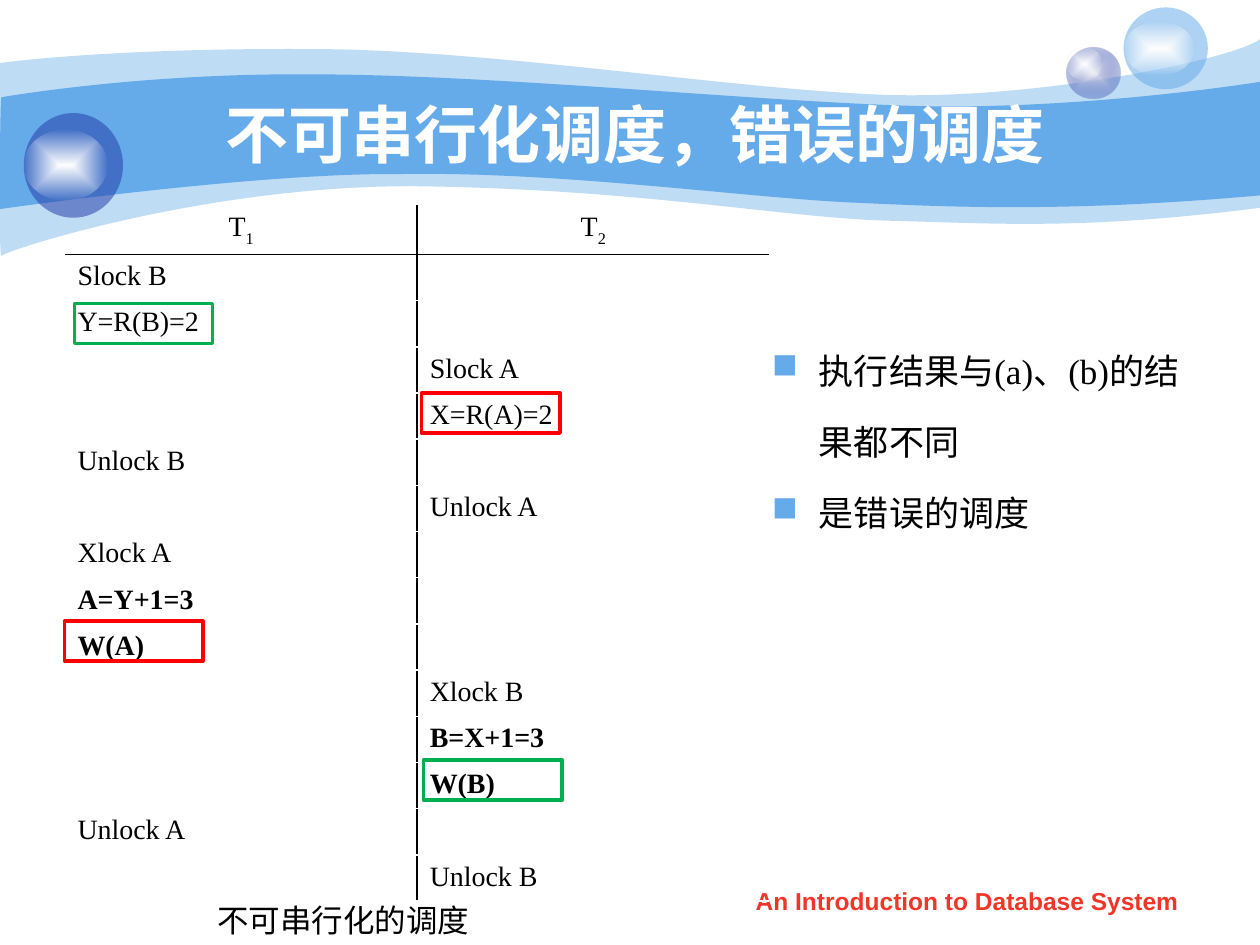
from lxml.etree import SubElement
from pptx import Presentation
from pptx.dml.color import RGBColor
from pptx.enum.shapes import MSO_SHAPE
from pptx.enum.text import MSO_ANCHOR, PP_ALIGN
from pptx.oxml import parse_xml
from pptx.oxml.ns import nsdecls, qn
from pptx.util import Cm, Pt

SKY, NAVY, WHITE, BLACK = "65AAE9", "233DA9", "FFFFFF", "000000"
RED, GREEN = "FF0000", "00B050"
SERIF, SANS = "Times New Roman", "Arial"
HANG = Cm(0.95)

OUTER_WAVE = [
    [(0, 1.27)],
    [(0.61, 1.19), (2.72, 0.97), (6.27, 0.99)],
    [(9.8, 0.99), (14.6, 1.78), (17.75, 1.91)],
    [(20.88, 2.03), (24.89, 1.19), (25.4, 0.79)],
    [(25.4, 4.19)],
    [(21.79, 4.65), (19.99, 4.5), (17.91, 4.45)],
    [(15.8, 4.39), (13.08, 3.84), (8.71, 3.76)],
    [(4.37, 3.66), (0.1, 5.05), (0.03, 5.16)],
    [(-0.03, 5.28), (0, 1.91), (0, 1.27)],
]
INNER_WAVE = [
    [(0.03, 1.96)],
    [(0.05, 1.96), (2.79, 1.47), (6.3, 1.5)],
    [(9.8, 1.5), (15.11, 2.03), (18.24, 2.13)],
    [(21.36, 2.24), (24.79, 1.75), (25.4, 1.65)],
    [(25.4, 3.94)],
    [(21.67, 4.27), (19.43, 4.19), (17.32, 4.09)],
    [(15.19, 4.01), (11.35, 3.45), (8.05, 3.51)],
    [(5.16, 3.48), (-0.05, 4.22), (-0.03, 4.22)],
    [(0, 4.22), (0, 1.96), (0.03, 1.96)],
]
STEPS = [
    (0, "Slock B", False), (0, "Y=R(B)=2", False), (1, "Slock A", False),
    (1, "X=R(A)=2", False), (0, "Unlock B", False), (1, "Unlock A", False),
    (0, "Xlock A", False), (0, "A=Y+1=3", True), (0, "W(A)", True),
    (1, "Xlock B", False), (1, "B=X+1=3", True), (1, "W(B)", True),
    (0, "Unlock A", False), (1, "Unlock B", False),
]
HIGHLIGHTS = [(8.5, 7.92, RED), (1.3, 12.52, RED), (1.5, 6.12, GREEN), (8.54, 15.32, GREEN)]


def rgb(value):
    """Turn a hex string into a colour."""
    return RGBColor.from_string(value)


def fill_solid(shape, color, opacity=100):
    """Fill a shape with one colour at a given opacity, without outline or shadow."""
    shape.shadow.inherit = False
    shape.line.fill.background()
    shape.fill.solid()
    shape.fill.fore_color.rgb = rgb(color)
    if opacity < 100:
        tint = shape._element.spPr.find(qn("a:solidFill")).find(qn("a:srgbClr"))
        SubElement(tint, qn("a:alpha")).set("val", str(opacity * 1000))


def fill_glow(shape, inner, outer, opacity):
    """Fill a shape with a gradient running from its centre to its edge."""
    shape.shadow.inherit = False
    shape.line.fill.background()
    shape.fill.background()
    properties = shape._element.spPr
    gradient = parse_xml(
        f'<a:gradFill {nsdecls("a")} rotWithShape="1"><a:gsLst>'
        f'<a:gs pos="0"><a:srgbClr val="{inner}"/></a:gs>'
        f'<a:gs pos="100000"><a:srgbClr val="{outer}">'
        f'<a:alpha val="{opacity * 1000}"/></a:srgbClr></a:gs></a:gsLst>'
        '<a:path path="shape"><a:fillToRect l="50000" t="50000" r="50000" b="50000"/>'
        '</a:path></a:gradFill>')
    properties.replace(properties.find(qn("a:noFill")), gradient)


def add_wave(page, segments, opacity):
    """Draw a closed wave, bending each line that has control points."""
    anchors = [(Cm(x), Cm(y)) for x, y in (segment[-1] for segment in segments)]
    builder = page.shapes.build_freeform(*anchors[0])
    builder.add_line_segments(anchors[1:], close=True)
    wave = builder.convert_to_shape()
    lines = list(wave._element.spPr.iter(qn("a:lnTo")))
    for line, segment in zip(lines, segments[1:]):
        if len(segment) == 3:
            curve = parse_xml(f'<a:cubicBezTo {nsdecls("a")}/>')
            for x, y in segment:
                point = SubElement(curve, qn("a:pt"))
                point.set("x", str(Cm(x) - wave.left))
                point.set("y", str(Cm(y) - wave.top))
            line.getparent().replace(line, curve)
    fill_solid(wave, SKY, opacity)


def add_oval(page, left, top, width, height):
    """Add a plain ellipse."""
    return page.shapes.add_shape(MSO_SHAPE.OVAL, Cm(left), Cm(top), Cm(width), Cm(height))


def add_bubbles(page):
    """Add three bubbles, each with a white glow."""
    fill_glow(add_oval(page, 21.51, 0.95, 1.08, 1.03), "E1E2ED", NAVY, 31)
    fill_glow(add_oval(page, 21.51, 0.95, 0.72, 0.68), WHITE, WHITE, 0)
    fill_solid(add_oval(page, 22.65, 0.15, 1.7, 1.65), SKY, 53)
    fill_glow(add_oval(page, 22.65, 0.43, 1.42, 1.09), WHITE, WHITE, 0)
    fill_solid(add_oval(page, 0.48, 2.28, 2, 2.11), NAVY, 53)
    fill_glow(add_oval(page, 0.48, 2.62, 1.68, 1.42), WHITE, WHITE, 0)


def add_span(para, text, size, color=BLACK, font=SERIF, bold=False, baseline=0):
    """Add one formatted run."""
    span = para.add_run()
    span.text = text
    span.font.size, span.font.name, span.font.bold = Pt(size), font, bold
    span.font.color.rgb = rgb(color)
    if baseline:
        span.font._element.set("baseline", str(baseline * 1000))


def set_hanging(para):
    """Give a paragraph a hanging indent."""
    properties = para._p.get_or_add_pPr()
    properties.set("marL", str(HANG))
    properties.set("indent", str(-HANG))


def add_box(page, left, top, width, height, wrap=True):
    """Add a text box and return its text frame."""
    box = page.shapes.add_textbox(Cm(left), Cm(top), Cm(width), Cm(height))
    box.text_frame.word_wrap = wrap
    return box.text_frame


def add_title(page, text):
    """Place the title above the waves."""
    title = page.shapes.title
    page.shapes._spTree.append(title._element)
    title.left, title.top, title.width, title.height = Cm(2.54), Cm(1.9), Cm(20.52), Cm(1.58)
    title.text_frame.vertical_anchor = MSO_ANCHOR.MIDDLE
    para = title.text_frame.paragraphs[0]
    para.alignment = PP_ALIGN.CENTER
    add_span(para, text, 36, WHITE, SANS, bold=True)


def set_borders(cell, left, right, top, bottom):
    """Set the four borders of an unfilled cell; None means no line."""
    cell.fill.background()
    properties = cell._tc.get_or_add_tcPr()
    for index, (side, color) in enumerate(zip("LRTB", (left, right, top, bottom))):
        paint = f'<a:solidFill><a:srgbClr val="{color}"/></a:solidFill>' if color else "<a:noFill/>"
        properties.insert(index, parse_xml(f'<a:ln{side} {nsdecls("a")} w="12700">{paint}</a:ln{side}>'))


def add_schedule(page):
    """Add the table of interleaved steps of both transactions."""
    rows = len(STEPS) + 1
    frame = page.shapes.add_table(rows, 2, Cm(1.31), Cm(4.13), Cm(14.2), Cm(13.97))
    table = frame.table
    table.first_row = table.horz_banding = False
    for row in range(rows):
        top = None if row == 0 else BLACK if row == 1 else WHITE
        bottom = BLACK if row == 0 else WHITE
        for column in range(2):
            cell = table.cell(row, column)
            set_borders(cell, BLACK if column else None, None if column else BLACK, top, bottom)
            para = cell.text_frame.paragraphs[0]
            set_hanging(para)
            if row == 0:
                para.alignment = PP_ALIGN.CENTER
                add_span(para, "T", 16)
                add_span(para, str(column + 1), 16, baseline=-30)
            elif STEPS[row - 1][0] == column:
                add_span(para, STEPS[row - 1][1], 16, bold=STEPS[row - 1][2])
            else:
                ending = SubElement(para._p, qn("a:endParaRPr"))
                ending.set("sz", "1600")
                SubElement(ending, qn("a:latin")).set("typeface", SERIF)


def add_bullets(page, lines):
    """Add the list of conclusions with square bullets."""
    frame = add_box(page, 15.31, 6.32, 8.89, 4.57)
    for index, line in enumerate(lines):
        para = frame.add_paragraph() if index else frame.paragraphs[0]
        set_hanging(para)
        para.line_spacing = 1.7
        properties = para._p.get_or_add_pPr()
        color = SubElement(properties, qn("a:buClr"))
        SubElement(color, qn("a:srgbClr")).set("val", SKY)
        SubElement(properties, qn("a:buFont")).set("typeface", "Wingdings")
        SubElement(properties, qn("a:buChar")).set("char", "n")
        add_span(para, line, 20)


def add_highlight(page, left, top, color):
    """Outline one operation of the schedule."""
    frame = page.shapes.add_shape(MSO_SHAPE.RECTANGLE, Cm(left), Cm(top), Cm(2.79), Cm(0.81))
    frame.shadow.inherit = False
    frame.fill.background()
    frame.line.color.rgb = rgb(color)
    frame.line.width = Pt(2)


def main():
    """Build the slide and save it."""
    deck = Presentation()
    deck.slide_width, deck.slide_height = Cm(25.4), Cm(19.05)
    page = deck.slides.add_slide(deck.slide_layouts[5])
    add_wave(page, OUTER_WAVE, 41)
    add_wave(page, INNER_WAVE, 100)
    add_bubbles(page)
    footer = add_box(page, 14.5, 17.73, 10, 0.89).paragraphs[0]
    footer.alignment = PP_ALIGN.CENTER
    add_span(footer, "An Introduction to Database System", 14, "F03628", SANS, bold=True)
    add_title(page, "不可串行化调度，错误的调度")
    add_schedule(page)
    caption = add_box(page, 4.05, 18.03, 5.74, 1.02, wrap=False).paragraphs[0]
    caption.alignment = PP_ALIGN.CENTER
    set_hanging(caption)
    add_span(caption, "不可串行化的调度", 18)
    add_bullets(page, ["执行结果与(a)、(b)的结果都不同", "是错误的调度"])
    for left, top, color in HIGHLIGHTS:
        add_highlight(page, left, top, color)
    deck.save("out.pptx")


if __name__ == "__main__":
    main()
